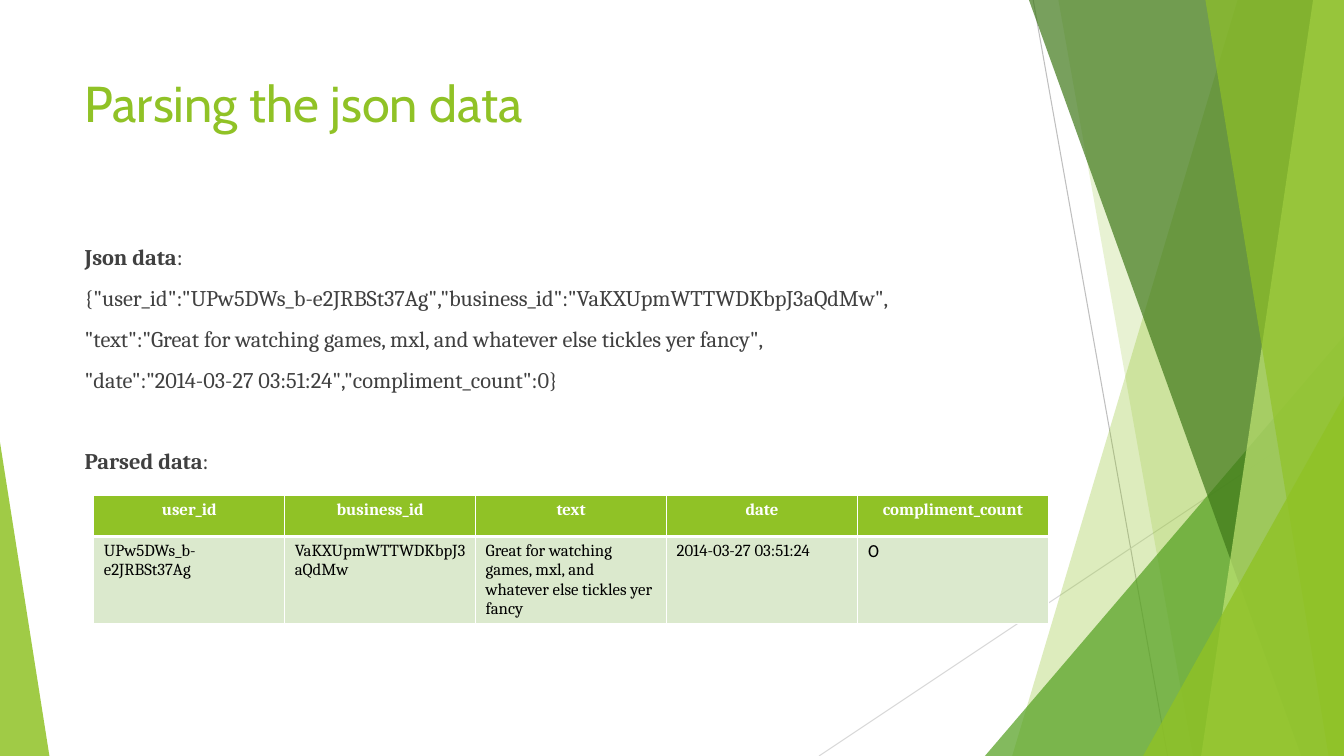
from lxml import etree
from pptx import Presentation
from pptx.dml.color import RGBColor
from pptx.enum.shapes import MSO_CONNECTOR, MSO_SHAPE
from pptx.enum.text import MSO_ANCHOR, MSO_AUTO_SIZE, PP_ALIGN
from pptx.oxml.ns import qn
from pptx.util import Pt

STRAIGHT = MSO_CONNECTOR.STRAIGHT
TRIANGLE = MSO_SHAPE.ISOSCELES_TRIANGLE
TOP = MSO_ANCHOR.TOP
NO_FIT = MSO_AUTO_SIZE.NONE
LEFT, CENTER = PP_ALIGN.LEFT, PP_ALIGN.CENTER

LIME = RGBColor(0x90, 0xC2, 0x26)
GREEN = RGBColor(0x54, 0xA0, 0x21)
FOREST = RGBColor(0x3F, 0x78, 0x19)
PALE_LIME = RGBColor(0xC0, 0xE4, 0x74)
ROW_TINT = RGBColor(0xDB, 0xE9, 0xCD)
GRAY = RGBColor(0xBF, 0xBF, 0xBF)
LIGHT_GRAY = RGBColor(0xD9, 0xD9, 0xD9)
DARK = RGBColor(0x40, 0x40, 0x40)
BLACK = RGBColor(0, 0, 0)
WHITE = RGBColor(0xFF, 0xFF, 0xFF)

SANS, SERIF = "Cabin", "Cambria"
WIDTH, HEIGHT = 960, 540

# The review, as shown before and after parsing
RECORD = {
    "user_id": "UPw5DWs_b-e2JRBSt37Ag",
    "business_id": "VaKXUpmWTTWDKbpJ3aQdMw",
    "text": "Great for watching games, mxl, and whatever else tickles yer fancy",
    "date": "2014-03-27 03:51:24",
    "compliment_count": 0,
}


def add_text(paragraph, text, size=16, font=SERIF, color=DARK, bold=False,
             align=LEFT, before=0):
    paragraph.alignment = align
    paragraph.space_before = Pt(before)
    run = paragraph.add_run()
    run.text = text
    run.font.size, run.font.name = Pt(size), font
    run.font.color.rgb, run.font.bold = color, bold


def paint(shape, color, opacity):
    shape.shadow.inherit = False
    shape.line.fill.background()
    shape.fill.solid()
    shape.fill.fore_color.rgb = color
    tint = shape._element.spPr.find(".//" + qn("a:srgbClr"))
    etree.SubElement(tint, qn("a:alpha"), val=str(opacity * 1000))


def add_ray(slide, start, end, color):
    ray = slide.shapes.add_connector(STRAIGHT, *map(Pt, start + end))
    ray.line.color.rgb, ray.line.width = color, Pt(0.75)
    etree.SubElement(ray._element.spPr, qn("a:effectLst"))


def add_facet(slide, box, top_x, bottom_x, color, opacity):
    """Full-height facet from a slanted edge to the right side of the box."""
    x, y, w, h = box
    outline = slide.shapes.build_freeform(Pt(x + top_x), Pt(y), scale=1.0)
    corners = [(x + w, y), (x + w, y + h), (x + bottom_x, y + h)]
    outline.add_line_segments([(Pt(px), Pt(py)) for px, py in corners], close=True)
    paint(outline.convert_to_shape(), color, opacity)


def add_wedge(slide, box, left, width, height, apex, color, opacity):
    """Right triangle standing on the bottom of the box."""
    x, y, _, h = box
    wedge = slide.shapes.add_shape(TRIANGLE, Pt(x + left), Pt(y + h - height),
                                   Pt(width), Pt(height))
    wedge.adjustments[0] = apex
    paint(wedge, color, opacity)


def draw_backdrop(slide, box):
    x, y, w, h = box
    add_ray(slide, (x + 738, y), (x + 834, y + h), GRAY)
    add_ray(slide, (x + w, y + 290), (x + 585, y + h), LIGHT_GRAY)
    add_facet(slide, box, 884, 723, LIME, 30)
    add_facet(slide, box, 756, 852, LIME, 20)
    add_wedge(slide, box, 703.5, 256.5, 300, 1, GREEN, 72)
    add_facet(slide, box, 735, 929.5, FOREST, 70)
    add_facet(slide, box, 938, 858, PALE_LIME, 70)
    add_facet(slide, box, 861, 949, LIME, 65)
    add_wedge(slide, box, 816.5, 143.5, 257, 1, LIME, 80)
    add_wedge(slide, box, 0, 35.3, 224, 0, LIME, 85)


def place(placeholder, box):
    """Move a placeholder to the box and return its text frame."""
    placeholder.left, placeholder.top, placeholder.width, placeholder.height = map(Pt, box)
    frame = placeholder.text_frame
    frame.word_wrap, frame.auto_size, frame.vertical_anchor = True, NO_FIT, TOP
    return frame


def write_title(slide, box):
    heading = place(slide.shapes.title, box)
    add_text(heading.paragraphs[0], "Parsing the json data", size=36, font=SANS, color=LIME)


def write_body(slide, box):
    body = place(slide.placeholders[1], box)
    # Each line: space before, then (text, bold) pieces
    lines = [
        (0, [("Json data", True), (": ", False)]),
        (10, [('{{"user_id":"{user_id}","business_id":"{business_id}",', False)]),
        (10, [('"text":"{text}",', False)]),
        (10, [('"date":"{date}","compliment_count":{compliment_count}}}', False)]),
        (39, [("Parsed data", True), (":", False)]),
    ]
    for number, (before, pieces) in enumerate(lines):
        line = body.add_paragraph() if number else body.paragraphs[0]
        for text, bold in pieces:
            add_text(line, text.format(**RECORD), bold=bold, before=before)
        properties = line._p.get_or_add_pPr()
        properties.set("marL", "0")
        properties.set("indent", "0")
        etree.SubElement(properties, qn("a:buNone"))


def set_borders(cell, widths):
    """White borders; widths run left, right, top, bottom."""
    properties = cell._tc.get_or_add_tcPr()
    for position, (side, width) in enumerate(zip("LRTB", widths)):
        edge = etree.Element(qn("a:ln" + side), w=str(Pt(width)))
        fill = etree.SubElement(edge, qn("a:solidFill"))
        etree.SubElement(fill, qn("a:srgbClr"), val=str(WHITE))
        properties.insert(position, edge)


def draw_parsed_table(slide, box):
    parsed = slide.shapes.add_table(2, len(RECORD), *map(Pt, box)).table
    header_height = 29.2
    parsed.rows[0].height = Pt(header_height)
    parsed.rows[1].height = Pt(box[3] - header_height)
    for column, (field, value) in enumerate(RECORD.items()):
        parsed.columns[column].width = Pt(box[2] / len(RECORD))
        value_font = SANS if field == "compliment_count" else SERIF
        looks = [
            (field, LIME, (1, 1, 1, 3), dict(color=WHITE, bold=True, align=CENTER)),
            (str(value), ROW_TINT, (1, 1, 3, 1), dict(color=BLACK, font=value_font)),
        ]
        for row, (text, fill, borders, style) in enumerate(looks):
            cell = parsed.cell(row, column)
            cell.fill.solid()
            cell.fill.fore_color.rgb = fill
            set_borders(cell, borders)
            add_text(cell.text_frame.paragraphs[0], text, size=12, **style)


deck = Presentation()
deck.slide_width, deck.slide_height = Pt(WIDTH), Pt(HEIGHT)
slide = deck.slides.add_slide(deck.slide_layouts[1])
draw_backdrop(slide, (0, 0, WIDTH, HEIGHT))
write_title(slide, (53.3, 48, 677, 104))
write_body(slide, (53.3, 170, 677, 305))
draw_parsed_table(slide, (67, 354, 682, 77.5))
deck.save("out.pptx")
